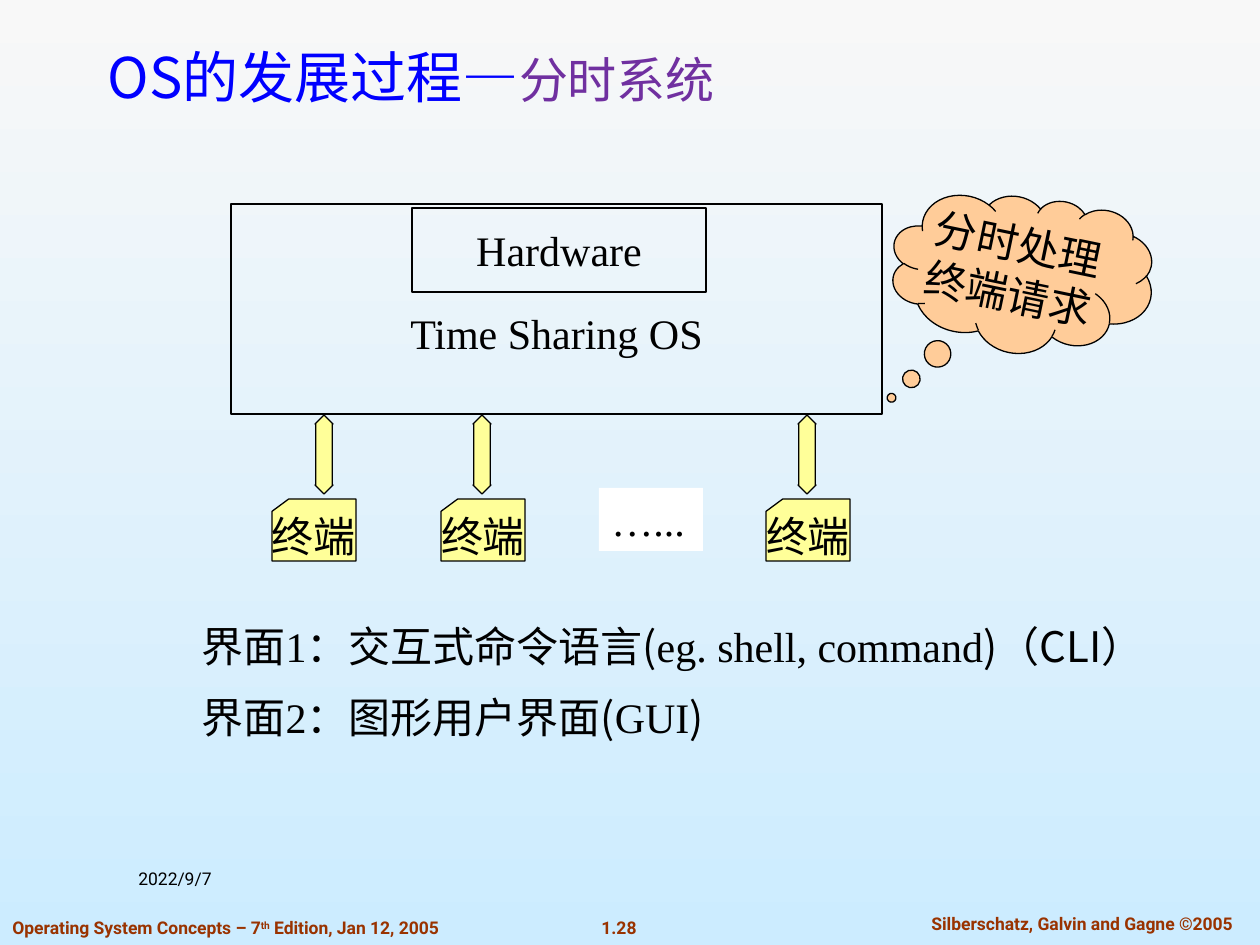
from pptx import Presentation
from pptx.dml.color import RGBColor
from pptx.enum.shapes import MSO_SHAPE as Shape
from pptx.enum.text import MSO_ANCHOR as Anchor, MSO_AUTO_SIZE as AutoSize, PP_ALIGN as Align
from pptx.oxml.ns import qn
from pptx.util import Pt
from lxml.etree import SubElement

# Content: each paragraph is a list of (text, style) runs
TITLE = [("OS的发展过程", "title"), ("—", "dash"), ("分时系统", "subtitle")]
INTERFACES = [
    [("界面1：交互式命令语言", "serif"), ("(", "sans"),
     ("eg. shell, command", "serif"), (")（CLI）", "sans")],
    [("界面2：图形用户界面", "serif"), ("(", "sans"), ("GUI", "serif"), (")", "sans")],
]
CLOUD = [[("分时处理", "serif")], [("终端请求", "serif")]]
EDITION = [("Operating System Concepts – 7", "footer"), ("th", "ordinal"),
           (" Edition, Jan 12, 2005", "footer")]
FOOTERS = [  # box, alignment, runs
    ((0, 911, 475, 34), Align.LEFT, EDITION),
    ((588, 911, 62, 34), Align.CENTER, [("1.28", "footer")]),
    ((895, 907, 374, 34), Align.CENTER, [("Silberschatz, Galvin and Gagne ©2005", "footer")]),
    ((126, 862, 273, 63), Align.LEFT, [("2022/9/7", "date")]),
]
TERMINALS = [(272, 315), (441, 473), (766, 798)]  # card left, arrow left

SANS, SERIF, UI = "Noto Sans CJK SC", "Times New Roman", "Roboto"
THEME = {
    "sky": ("F8F8F8", "CCECFF"),
    "ink": "000000", "paper": "FFFFFF", "cloud": "FFCC99", "terminal": "FFFF99",
    "outline": 0.75,
    "text": {
        "title": dict(name=SANS, size=32, color="0000FF"),
        "dash": dict(name="Arial", size=32, color="0000FF"),
        "subtitle": dict(name=SANS, size=28, color="7030A0"),
        "serif": dict(name=SERIF, size=24, color="000000"),
        "sans": dict(name=SANS, size=24, color="000000"),
        "footer": dict(name=UI, size=10, color="993300", bold=True),
        "ordinal": dict(name=UI, size=10, color="993300", bold=True, raised=True),
        "date": dict(name=UI, size=10, color="000000"),
    },
}
EMU_PER_PX = 9144000 / 1260


def px(*lengths):
    return [round(length * EMU_PER_PX) for length in lengths]


def rgb(value):
    return RGBColor.from_string(value)


def write(box, paragraphs, align=Align.LEFT, anchor=Anchor.TOP, wrap=True, gap=0):
    frame = box.text_frame
    for key, value in dict(word_wrap=wrap, auto_size=AutoSize.NONE,
                           vertical_anchor=anchor).items():
        setattr(frame, key, value)
    for index, runs in enumerate(paragraphs):
        paragraph = frame.add_paragraph() if index else frame.paragraphs[0]
        paragraph.alignment = align
        paragraph.space_before = Pt(gap if index else 0)
        for text, style in runs:
            look = THEME["text"][style]
            run = paragraph.add_run()
            run.text = text
            for key, value in dict(name=look["name"], size=Pt(look["size"]),
                                   bold=look.get("bold", False)).items():
                setattr(run.font, key, value)
            run.font.color.rgb = rgb(look["color"])
            if look.get("raised"):
                run.font._element.set("baseline", "30000")


def place(box, left, top, width, height):
    box.left, box.top, box.width, box.height = px(left, top, width, height)


def draw(kind, box, fill=None, outlined=True, adjust=()):
    shape = slide.shapes.add_shape(kind, *px(*box))
    shape.shadow.inherit = False
    if fill:
        shape.fill.solid()
        shape.fill.fore_color.rgb = rgb(THEME[fill])
    else:
        shape.fill.background()
    if outlined:
        shape.line.color.rgb = rgb(THEME["ink"])
        shape.line.width = Pt(THEME["outline"])
    else:
        shape.line.fill.background()
    for index, value in enumerate(adjust):
        shape.adjustments[index] = value
    return shape


def label(shape, paragraphs):
    write(shape, paragraphs, Align.CENTER, Anchor.MIDDLE, wrap=False)


deck = Presentation()
deck.slide_width, deck.slide_height = px(1260, 945)
slide = deck.slides.add_slide(deck.slide_layouts[1])

# Sky gradient, light at the top
sky = slide.background.fill
sky.gradient()
sky.gradient_angle = 270
for stop, color in zip(sky.gradient_stops, THEME["sky"]):
    stop.color.rgb = rgb(color)

# Title and the two interfaces
title, interfaces = slide.placeholders
place(title, 95, 32, 1113, 84)
write(title, [TITLE], anchor=Anchor.BOTTOM)
place(interfaces, 189, 614, 1018, 190)
write(interfaces, INTERFACES, gap=12)
for paragraph in interfaces.text_frame.paragraphs:
    properties = paragraph._p.get_or_add_pPr()
    properties.set("marL", "0")
    properties.set("indent", "0")
    SubElement(properties, qn("a:buNone"))

# Thought cloud
cloud = draw(Shape.CLOUD_CALLOUT, (891, 194, 262, 159), "cloud", adjust=(-0.391, 0.932))
cloud.rotation = 11.7
label(cloud, CLOUD)

# Operating system around the hardware
system = draw(Shape.RECTANGLE, (231, 204, 651, 210))
label(system, [[("Time Sharing OS", "serif")]])
system.text_frame.margin_top = px(54)[0]
label(draw(Shape.RECTANGLE, (412, 208, 294, 84)), [[("Hardware", "serif")]])

# Terminals and their links
for card_left, arrow_left in TERMINALS:
    card = draw(Shape.FLOWCHART_CARD, (card_left, 499, 84, 62), "terminal")
    label(card, [[("终端", "serif")]])
    draw(Shape.UP_DOWN_ARROW, (arrow_left, 415, 18, 79), "terminal", adjust=(0.5, 0.917))
more = draw(Shape.RECTANGLE, (599, 488, 104, 63), "paper", outlined=False)
write(more, [[("…...", "serif")]])

# Footer line and date
for box, align, runs in FOOTERS:
    write(slide.shapes.add_textbox(*px(*box)), [runs], align)

deck.save("out.pptx")
